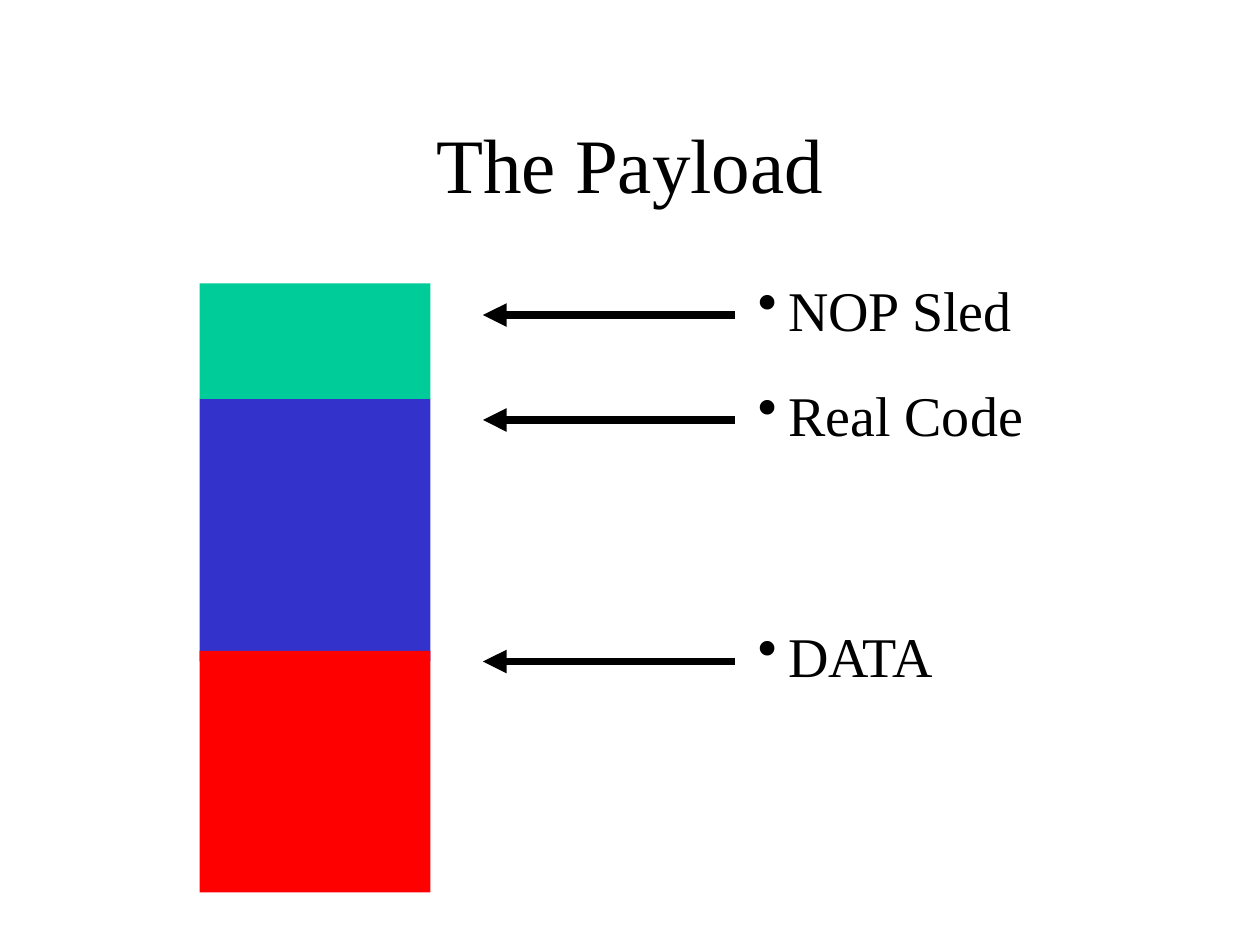
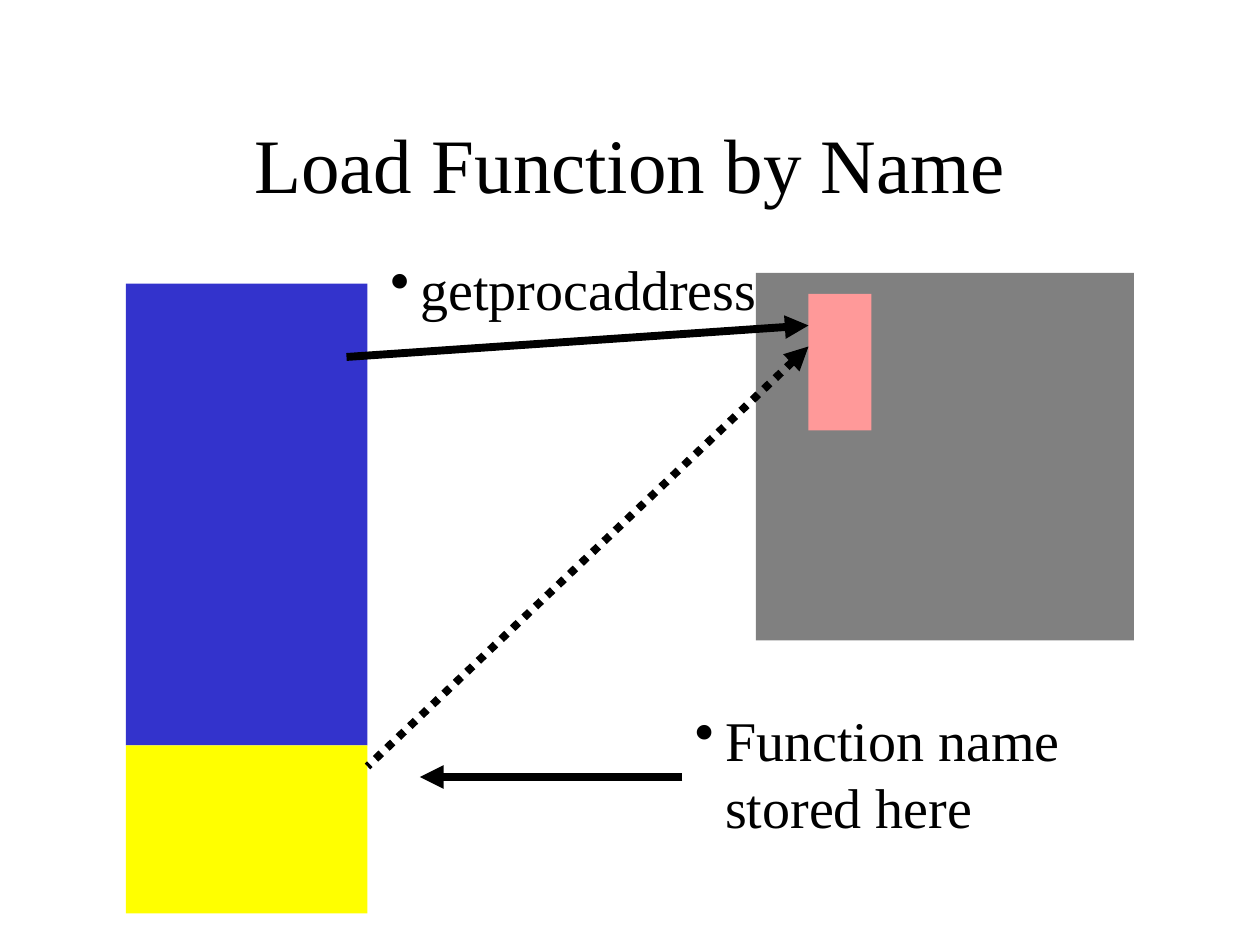
import dataclasses

import pptx
import pptx.dml.color
import pptx.enum.dml
import pptx.enum.shapes
import pptx.enum.text
import pptx.oxml
import pptx.oxml.ns
import pptx.util


@dataclasses.dataclass(frozen=True)
class Theme:
    font: str = "Times New Roman"
    title_size: int = 44
    label_size: int = 32
    arrow_width: float = 4.5
    ink: str = "000000"
    sled: str = "00CC99"
    code: str = "3333CC"
    data: str = "FF0000"
    name: str = "FFFF00"
    library: str = "808080"
    function: str = "FF9999"


THEME = Theme()
rgb = pptx.dml.color.RGBColor.from_string

deck = pptx.Presentation()
deck.slide_width = pptx.util.Inches(10)
deck.slide_height = pptx.util.Inches(7.5)

# Grid of 120 columns by 90 rows; all places below are in grid units
UNIT = deck.slide_width // 120
TITLE_AREA = (9, 8, 102, 15)
LABEL_HEIGHT = 7.7


def write(shape, text, *, size, align, anchor, bullet=False, top_inset=0.05):
    frame = shape.text_frame
    frame.word_wrap = True
    frame.auto_size = pptx.enum.text.MSO_AUTO_SIZE.NONE
    frame.vertical_anchor = anchor
    frame.margin_top = pptx.util.Inches(top_inset)
    paragraph = frame.paragraphs[0]
    paragraph.alignment = align
    paragraph.space_before = pptx.util.Pt(0)
    if bullet:
        indent = pptx.util.Inches(0.24)
        properties = paragraph._p.get_or_add_pPr()
        properties.set("marL", str(indent))
        properties.set("indent", str(-indent))
        mark = pptx.oxml.ns.qn("a:buChar")
        properties.makeelement(mark)
        properties.append(properties.makeelement(mark, {"char": "•"}))
    run = paragraph.add_run()
    run.text = text
    run.font.name = THEME.font
    run.font.size = pptx.util.Pt(size)
    run.font.color.rgb = rgb(THEME.ink)


def draw_arrow(slide, start, end, *, tip="a:tailEnd", dash=None):
    arrow = slide.shapes.add_connector(
        pptx.enum.shapes.MSO_CONNECTOR.STRAIGHT,
        *(round(length * UNIT) for length in (*start, *end)))
    arrow.line.color.rgb = rgb(THEME.ink)
    arrow.line.width = pptx.util.Pt(THEME.arrow_width)
    if dash:
        arrow.line.dash_style = dash
    outline = arrow.line._get_or_add_ln()
    outline.append(outline.makeelement(pptx.oxml.ns.qn(tip), {"type": "triangle"}))
    properties = arrow._element.spPr
    properties.append(properties.makeelement(pptx.oxml.ns.qn("a:effectLst")))


# Payload: every label sits beside its arrow, five rows above it
payload_labels = [("NOP Sled", 25), ("Real Code", 35), ("DATA", 58)]
payload = {
    "title": "The Payload",
    "blocks": [
        (THEME.code, (19, 38, 22, 25)),
        (THEME.sled, (19, 27, 22, 11)),
        (THEME.data, (19, 62, 22, 23)),
    ],
    "arrows": [((70, row + 5), (46, row + 5), {}) for _, row in payload_labels],
    "labels": [(text, (71, row, 37, LABEL_HEIGHT)) for text, row in payload_labels],
}

# Function lookup: code and stored name both point into the library
lookup = {
    "title": "Load Function by Name",
    "blocks": [
        (THEME.code, (12, 27, 23, 44)),
        (THEME.name, (12, 71, 23, 16)),
        (THEME.library, (72, 26, 36, 35)),
        (THEME.function, (77, 28, 6, 13)),
    ],
    "arrows": [
        ((65, 74), (40, 74), {}),
        ((77, 33), (35, 73), {"tip": "a:headEnd",
                              "dash": pptx.enum.dml.MSO_LINE.ROUND_DOT}),
        ((33, 34), (77, 31), {}),
    ],
    "labels": [
        ("Function name stored here", (65, 66, 46, 14)),
        ("getprocaddress", (36, 23, 42, LABEL_HEIGHT)),
    ],
}

for content in (payload, lookup):
    slide = deck.slides.add_slide(deck.slide_layouts.get_by_name("Title Only"))

    # Title
    title = slide.shapes.title
    title.left, title.top, title.width, title.height = (
        round(length * UNIT) for length in TITLE_AREA)
    write(title, content["title"], size=THEME.title_size,
          align=pptx.enum.text.PP_ALIGN.CENTER,
          anchor=pptx.enum.text.MSO_ANCHOR.MIDDLE)

    # Memory blocks
    for colour, area in content["blocks"]:
        block = slide.shapes.add_shape(
            pptx.enum.shapes.MSO_SHAPE.RECTANGLE,
            *(round(length * UNIT) for length in area))
        block.shadow.inherit = False
        block.fill.solid()
        block.fill.fore_color.rgb = rgb(colour)
        block.line.fill.background()

    # Arrows
    for start, end, style in content["arrows"]:
        draw_arrow(slide, start, end, **style)

    # Labels
    for text, area in content["labels"]:
        label = slide.shapes.add_textbox(*(round(length * UNIT) for length in area))
        write(label, text, size=THEME.label_size, bullet=True, top_inset=0.1,
              align=pptx.enum.text.PP_ALIGN.LEFT,
              anchor=pptx.enum.text.MSO_ANCHOR.TOP)

deck.save("out.pptx")
